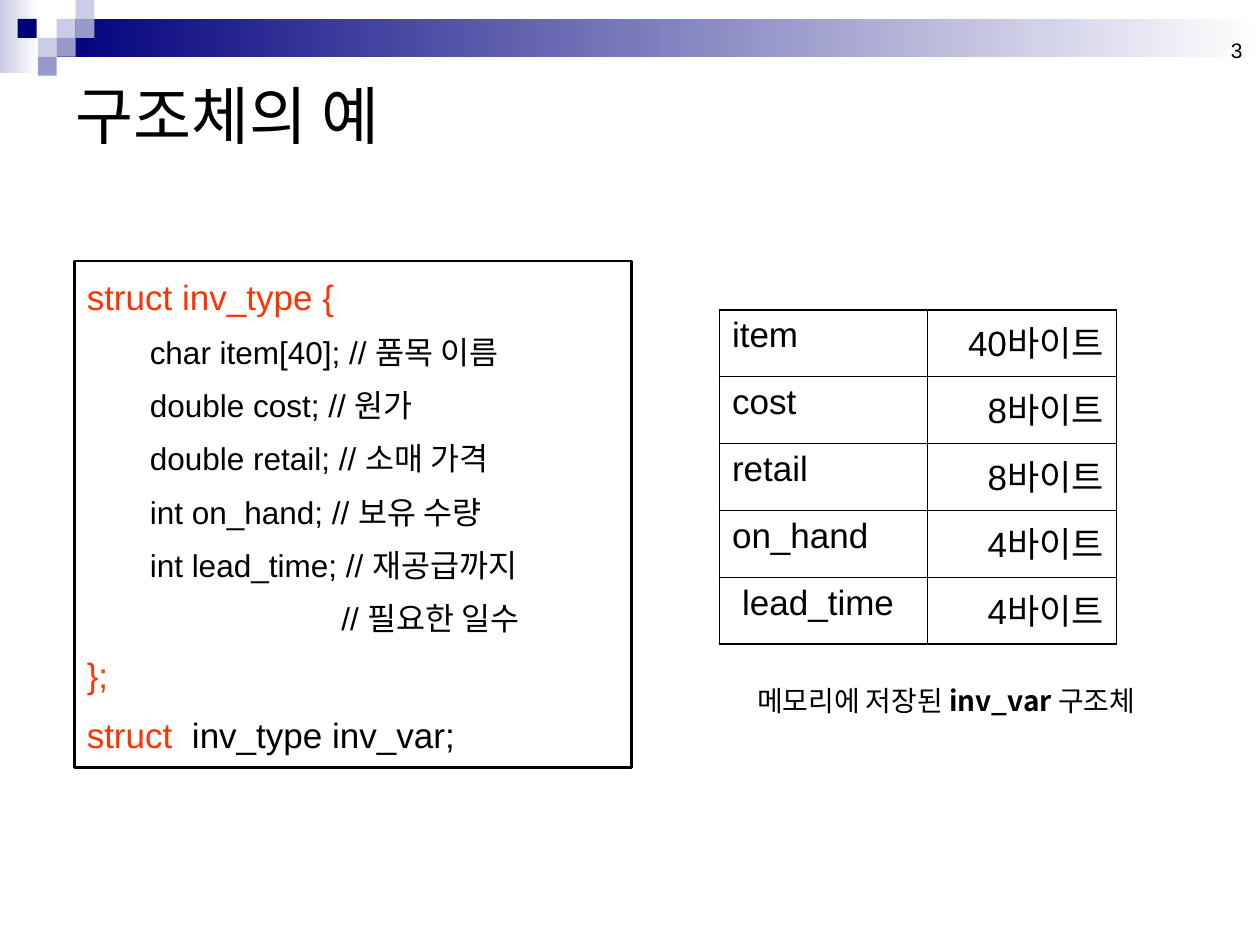
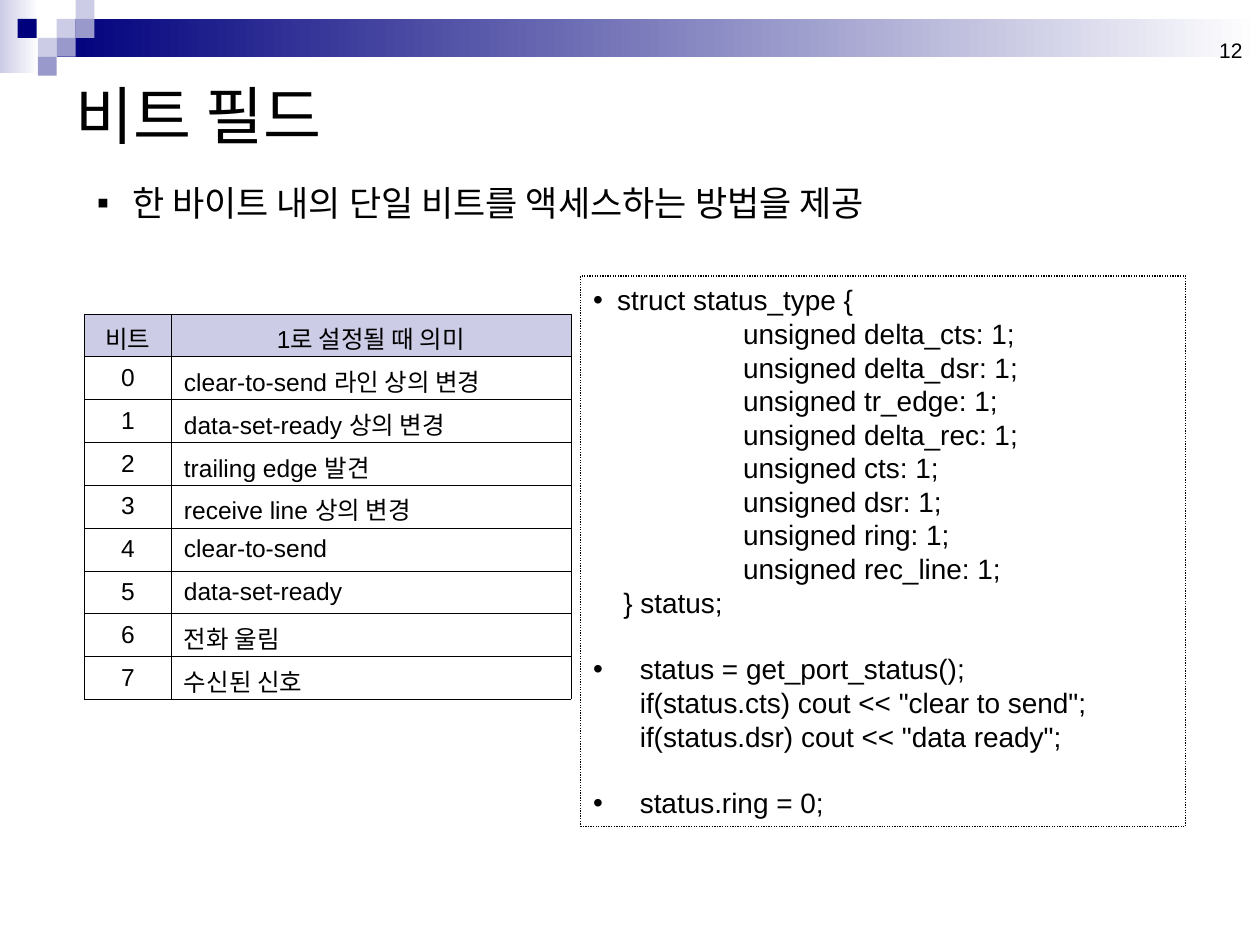
from lxml import etree
from pptx import Presentation, util as u
from pptx.dml.color import RGBColor
from pptx.enum import dml, shapes, text
from pptx.oxml import ns

LATIN, HANGUL = "Arial", "Noto Sans CJK KR"
BLACK, NAVY, LILAC, PERIWINKLE, WHITE = "000000", "00007D", "CCCCE6", "9999CC", "FFFFFF"
KEYWORD = "FF3300"
LEFT, CENTER, RIGHT, JUSTIFY = (text.PP_ALIGN.LEFT, text.PP_ALIGN.CENTER,
                                text.PP_ALIGN.RIGHT, text.PP_ALIGN.JUSTIFY)
TOP, MIDDLE, BOTTOM = (text.MSO_ANCHOR.TOP, text.MSO_ANCHOR.MIDDLE,
                       text.MSO_ANCHOR.BOTTOM)


def color(value):
    return RGBColor.from_string(value)


def inches(box):
    return [u.Inches(value) for value in box]


def add_element(parent, tag, **attributes):
    return etree.SubElement(parent, ns.qn(tag), attributes)


# Text
def style_font(font, size, ink=BLACK, name=LATIN, bold=False):
    font.size, font.name, font.bold = u.Pt(size), name, bold
    font.color.rgb = color(ink)
    add_element(font._element, "a:ea", typeface=HANGUL)


def indent(paragraph, margin, bullet=None):
    properties = paragraph._p.get_or_add_pPr()
    properties.set("marL", str(u.Inches(margin)))
    properties.set("indent", str(u.Inches(-margin if bullet else 0)))
    if bullet:
        fill = add_element(add_element(properties, "a:buClr"), "a:srgbClr", val=BLACK)
        fill.getparent().tag  # colour precedes font and character
        add_element(properties, "a:buFont", typeface=LATIN)
        add_element(properties, "a:buChar", char=bullet)


def next_paragraph(frame):
    first = frame.paragraphs[0]
    return frame.add_paragraph() if first.runs else first


def prepare_frame(shape, anchor):
    frame = shape.text_frame
    frame.word_wrap, frame.vertical_anchor = True, anchor
    return frame


def add_label(slide, box, words, size, name=LATIN, align=LEFT, anchor=MIDDLE):
    frame = prepare_frame(slide.shapes.add_textbox(*inches(box)), anchor)
    paragraph = frame.paragraphs[0]
    paragraph.text, paragraph.alignment = words, align
    style_font(paragraph.font, size, name=name)
    return paragraph


# Shapes
def add_rectangle(slide, box, fill=None, fade_to=None):
    shape = slide.shapes.add_shape(shapes.MSO_SHAPE.RECTANGLE, *inches(box))
    shape.shadow.inherit = False
    shape.line.fill.background()
    if fade_to:
        shape.fill.gradient()
        shape.fill.gradient_angle = 0
        for stop, value in zip(shape.fill.gradient_stops, (fill, fade_to)):
            stop.color.rgb = color(value)
    elif fill:
        shape.fill.solid()
        shape.fill.fore_color.rgb = color(fill)
    else:
        shape.fill.background()
    return shape


def add_code_frame(slide, box, line_width, anchor, dash=None):
    shape = add_rectangle(slide, box)
    shape.line.color.rgb = color(BLACK)
    shape.line.width = u.Pt(line_width)
    if dash:
        shape.line.dash_style = dash
    return prepare_frame(shape, anchor)


# Tables
def style_cell(cell, words, size, align, anchor, borders, fill=None):
    cell.vertical_anchor = anchor
    properties = cell._tc.get_or_add_tcPr()
    for side, width in zip("LRTB", borders):
        line = add_element(properties, f"a:ln{side}", w=str(u.Pt(width)))
        add_element(add_element(line, "a:solidFill"), "a:srgbClr", val=BLACK)
    if fill:
        cell.fill.solid()
        cell.fill.fore_color.rgb = color(fill)
    else:
        cell.fill.background()
    paragraph = cell.text_frame.paragraphs[0]
    paragraph.text, paragraph.alignment = words, align
    style_font(paragraph.font, size)


def add_grid(slide, left, top, widths, row_height, row_count):
    frame = slide.shapes.add_table(
        row_count, len(widths),
        *inches((left, top, sum(widths), row_height * row_count)))
    table = frame.table
    table.first_row = table.horz_banding = False
    for column, width in zip(table.columns, widths):
        column.width = u.Inches(width)
    return table


# Shared slide parts
def add_base_slide(presentation, title, number):
    slide = presentation.slides.add_slide(presentation.slide_layouts[6])
    add_rectangle(slide, (0, 0, 0.31, 0.58), LILAC, WHITE)
    add_rectangle(slide, (0.45, 0.15, 9.55, 0.3), NAVY, WHITE)
    for left, top, fill in ((0.45, 0.15, LILAC), (0.6, 0, LILAC),
                            (0.6, 0.15, PERIWINKLE), (0.3, 0.3, LILAC),
                            (0.14, 0.15, NAVY), (0.45, 0.3, PERIWINKLE),
                            (0.3, 0.45, PERIWINKLE)):
        add_rectangle(slide, (left, top, 0.15, 0.15), fill)
    add_label(slide, (7.63, 0.05, 2.33, 0.5), number, 12, align=RIGHT, anchor=BOTTOM)
    add_label(slide, (0.5, 0.5, 9, 0.81), title, 36, HANGUL)
    return slide


# Structure example
def add_struct_code(slide, box):
    frame = add_code_frame(slide, box, 1.5, TOP)
    member, comment = 0.5, 2.02
    lines = [
        (0, [("struct inv_type {", KEYWORD)]),
        (member, [("char item[40]; // 품목 이름", BLACK)]),
        (member, [("double cost; // 원가", BLACK)]),
        (member, [("double retail; // 소매 가격", BLACK)]),
        (member, [("int on_hand; // 보유 수량", BLACK)]),
        (member, [("int lead_time; // 재공급까지", BLACK)]),
        (comment, [("// 필요한 일수", BLACK)]),
        (0, [("};", KEYWORD)]),
        (0, [("struct  ", KEYWORD), ("inv_type inv_var;", BLACK)]),
    ]
    for index, (margin, pieces) in enumerate(lines):
        paragraph = next_paragraph(frame)
        paragraph.alignment, paragraph.line_spacing = LEFT, 1.2
        size = 18 if margin else 20
        if index:
            paragraph.space_before = u.Pt(size / 4)
        indent(paragraph, margin)
        style_font(paragraph.font, size, pieces[0][1])
        for words, ink in pieces:
            run = paragraph.add_run()
            run.text = words
            if ink != pieces[0][1]:
                run.font.color.rgb = color(ink)


def add_memory_table(slide, left, top):
    members = [("item", 40), ("cost", 8), ("retail", 8), ("on_hand", 4), ("lead_time", 4)]
    table = add_grid(slide, left, top, (1.65, 1.5), 0.53, len(members))
    outer, inner = 1.08, 0.45
    for row, (name, size) in enumerate(members):
        upper = outer if row == 0 else inner
        lower = outer if row == len(members) - 1 else inner
        style_cell(table.cell(row, 0), name, 20, LEFT, TOP, (outer, inner, upper, lower))
        style_cell(table.cell(row, 1), f"{size}바이트", 20, RIGHT, TOP,
                   (inner, outer, upper, lower))
    table.cell(len(members) - 1, 0).margin_left = u.Inches(0.18)


def add_memory_caption(slide, box):
    paragraph = add_label(slide, box, "메모리에 저장된 ", 16, HANGUL, JUSTIFY)
    for words, bold in (("inv_var ", True), ("구조체", False)):
        run = paragraph.add_run()
        run.text, run.font.bold = words, bold


def build_struct_slide(presentation):
    slide = add_base_slide(presentation, "구조체의 예", "3")
    add_struct_code(slide, (0.59, 2.07, 4.42, 4.02))
    add_memory_table(slide, 5.71, 2.46)
    add_memory_caption(slide, (5.91, 5.37, 3.21, 0.37))


# Bit fields
def add_bit_table(slide, left, top):
    meanings = ["clear-to-send 라인 상의 변경", "data-set-ready 상의 변경",
                "trailing edge 발견", "receive line 상의 변경", "clear-to-send",
                "data-set-ready", "전화 울림", "수신된 신호"]
    rows = [("비트", "1로 설정될 때 의미")]
    rows += [(str(bit), meaning) for bit, meaning in enumerate(meanings)]
    table = add_grid(slide, left, top, (0.69, 3.17), 0.34, len(rows))
    for row, words in enumerate(rows):
        for column, align in enumerate((CENTER, JUSTIFY if row else CENTER)):
            style_cell(table.cell(row, column), words[column], 14, align, MIDDLE,
                       [0.06] * 4, None if row else LILAC)


def add_status_code(slide, box):
    frame = add_code_frame(slide, box, 0.75, MIDDLE, dml.MSO_LINE.ROUND_DOT)
    fields = ["delta_cts", "delta_dsr", "tr_edge", "delta_rec",
              "cts", "dsr", "ring", "rec_line"]
    call = 'status = get_port_status();\vif(status.cts) cout << "clear to send";'
    # Each line: words, left indent, bullet, space before in points
    lines = [("struct status_type {", 0.19, "•", 0)]
    lines += [(f"unsigned {field}: 1;", 1.19, None, 0) for field in fields]
    lines += [("} status;", 0.24, None, 0),
              (call, 0.37, "•", 19),
              ('if(status.dsr) cout << "data ready";', 0.37, None, 0),
              ("status.ring = 0;", 0.37, "•", 19)]
    for words, margin, bullet, gap in lines:
        paragraph = next_paragraph(frame)
        paragraph.text, paragraph.alignment = words, LEFT
        if gap:
            paragraph.space_before = u.Pt(gap)
        indent(paragraph, margin, bullet)
        style_font(paragraph.font, 16)


def add_summary(slide, box):
    paragraph = add_label(slide, box, "", 20, HANGUL, anchor=TOP)
    paragraph._p.remove(paragraph._p.pPr)
    paragraph.text = "한 바이트 내의 단일 비트를 액세스하는 방법을 제공"
    indent(paragraph, 0.28, "▪")
    style_font(paragraph.font, 20, name=HANGUL)


def build_bit_field_slide(presentation):
    slide = add_base_slide(presentation, "비트 필드", "12")
    add_bit_table(slide, 0.67, 2.49)
    add_status_code(slide, (4.61, 2.19, 4.8, 4.37))
    add_summary(slide, (0.67, 1.39, 8.03, 0.44))


def main():
    presentation = Presentation()
    presentation.slide_width, presentation.slide_height = inches((10, 7.5))
    build_struct_slide(presentation)
    build_bit_field_slide(presentation)
    presentation.save("out.pptx")


if __name__ == "__main__":
    main()
